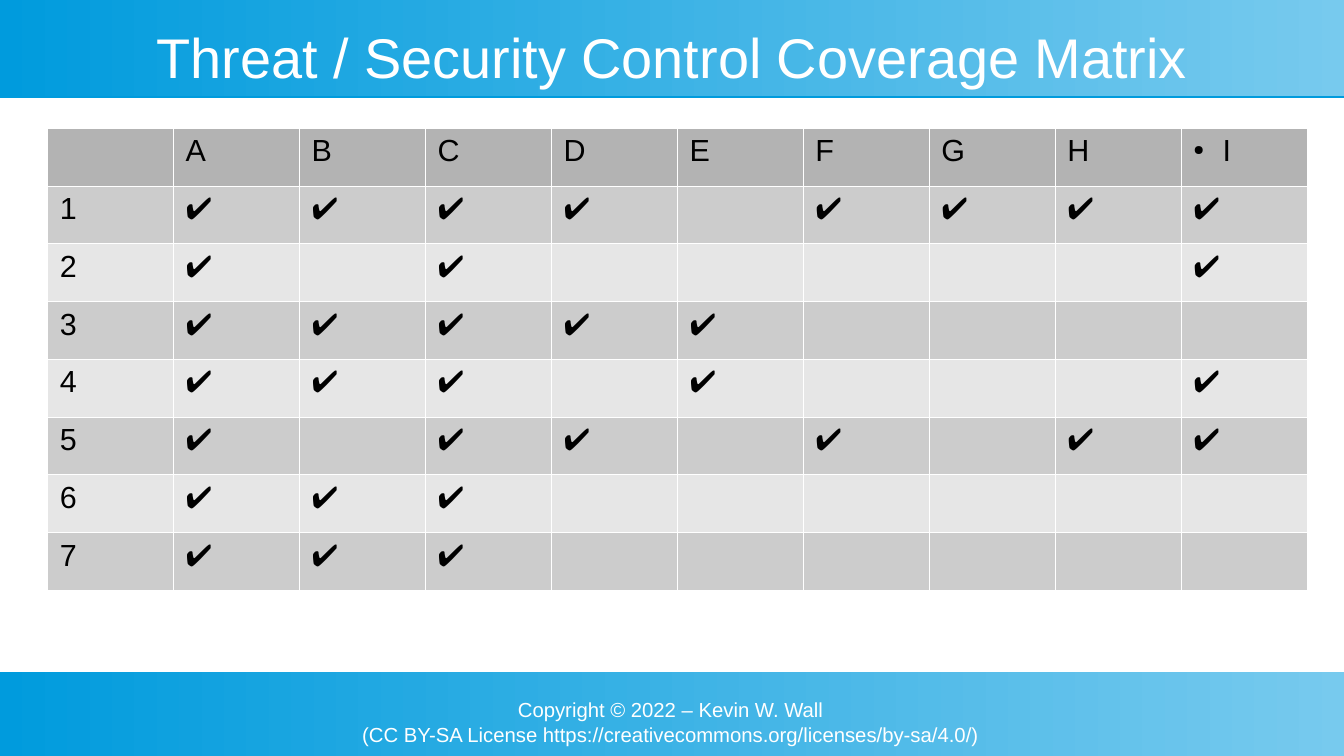
from lxml import etree
from pptx import Presentation
from pptx.dml.color import RGBColor
from pptx.enum.shapes import MSO_SHAPE
from pptx.enum.text import MSO_ANCHOR, MSO_AUTO_SIZE, PP_ALIGN
from pptx.oxml.ns import qn
from pptx.util import Inches, Pt

RECTANGLE = MSO_SHAPE.RECTANGLE
TOP, MIDDLE = MSO_ANCHOR.TOP, MSO_ANCHOR.MIDDLE
NO_AUTOFIT = MSO_AUTO_SIZE.NONE
CENTER, LEFT = PP_ALIGN.CENTER, PP_ALIGN.LEFT

WIDTH, HEIGHT = 11.02, 6.2
FONT = "Arial"
COLORS = {
    "sky": "77CAEE",
    "blue": "009BDD",
    "white": "FFFFFF",
    "black": "000000",
    "header": "B3B3B3",
    "odd": "CCCCCC",
    "even": "E6E6E6",
}
TITLE = "Threat / Security Control Coverage Matrix"
FOOTER = [
    "Copyright © 2022 – Kevin W. Wall",
    "(CC BY-SA License https://creativecommons.org/licenses/by-sa/4.0/)",
]
THREATS = "ABCDEFGHI"
COVERAGE = ["ABCDFGHI", "ACI", "ABCDE", "ABCEI", "ACDFHI", "ABC", "ABC"]
CHECK = "✔️"


def color(name):
    return RGBColor.from_string(COLORS[name])


def add_xml(parent, tag, **attributes):
    return etree.SubElement(parent, qn(tag), attributes)


def add_color_xml(parent, name):
    add_xml(parent, "a:srgbClr", val=COLORS[name])


def write(frame, lines, size, tint, align=LEFT):
    frame.text = "\n".join(lines)
    for para in frame.paragraphs:
        para.alignment = align
        for span in para.runs:
            for name, value in {"name": FONT, "size": Pt(size), "bold": False}.items():
                setattr(span.font, name, value)
            span.font.color.rgb = color(tint)


def format_frame(frame, anchor):
    """Remove the insets and wrap the text inside a fixed box."""
    values = {
        "margin_left": 0, "margin_right": 0, "margin_top": 0, "margin_bottom": 0,
        "word_wrap": True, "auto_size": NO_AUTOFIT, "vertical_anchor": anchor,
    }
    for name, value in values.items():
        setattr(frame, name, value)


def add_band(page, top, height):
    """Add a full-width gradient band with a thin hard shadow below it."""
    band = page.shapes.add_shape(
        RECTANGLE, 0, Inches(top), Inches(WIDTH), Inches(height))
    band.line.fill.background()
    band.fill.gradient()
    band.fill.gradient_angle = 180
    for stop, tint in zip(band.fill.gradient_stops, ("sky", "blue")):
        stop.color.rgb = color(tint)
    band.shadow.inherit = False
    effects = band._element.spPr.find(qn("a:effectLst"))
    shadow = add_xml(effects, "a:outerShdw", blurRad="0", dist=str(Pt(0.9)),
                     dir="5400000", rotWithShape="0")
    add_color_xml(shadow, "blue")


def add_title(page):
    title = page.shapes.title
    title.left, title.top = Inches(0.39), Inches(0.2)
    title.width, title.height = Inches(10.24), Inches(0.52)
    format_frame(title.text_frame, MIDDLE)
    write(title.text_frame, [TITLE], 33, "white", CENTER)
    page.shapes._spTree.append(title._element)


def add_footer(page):
    box = page.shapes.add_textbox(Inches(2.5), Inches(5.72), Inches(6), Inches(0.43))
    format_frame(box.text_frame, TOP)
    write(box.text_frame, FOOTER, 12, "white", CENTER)


def add_bullet(para):
    properties = para._p.get_or_add_pPr()
    properties.set("marL", str(Inches(0.24)))
    properties.set("indent", str(-Inches(0.24)))
    add_color_xml(add_xml(properties, "a:buClr"), "black")
    add_xml(properties, "a:buSzPct", val="45000")
    add_xml(properties, "a:buChar", char="●")


def format_cell(cell, text, fill):
    properties = cell._tc.get_or_add_tcPr()
    for side in "LRTB":
        border = add_xml(properties, f"a:ln{side}", w=str(Pt(0.06)))
        add_color_xml(add_xml(border, "a:solidFill"), "white")
    cell.fill.solid()
    cell.fill.fore_color.rgb = color(fill)
    if text:
        write(cell.text_frame, [text], 18, "black")


def add_matrix(page):
    rows = [["", *THREATS]]
    for number, covered in enumerate(COVERAGE, 1):
        checks = [CHECK if threat in covered else "" for threat in THREATS]
        rows.append([str(number), *checks])
    table = page.shapes.add_table(
        len(rows), len(rows[0]), Inches(0.39), Inches(1.05),
        Inches(10.33), Inches(3.79)).table
    table.first_row = table.horz_banding = False
    for row, texts in enumerate(rows):
        fill = "header" if row == 0 else ("even", "odd")[row % 2]
        for column, text in enumerate(texts):
            format_cell(table.cell(row, column), text, fill)
    add_bullet(table.cell(0, len(THREATS)).text_frame.paragraphs[0])


def main():
    deck = Presentation()
    deck.slide_width, deck.slide_height = Inches(WIDTH), Inches(HEIGHT)
    page = deck.slides.add_slide(deck.slide_layouts.get_by_name("Title Only"))
    add_band(page, 0, 0.79)
    add_band(page, 5.51, HEIGHT - 5.51)
    add_footer(page)
    add_title(page)
    add_matrix(page)
    deck.save("out.pptx")


if __name__ == "__main__":
    main()
